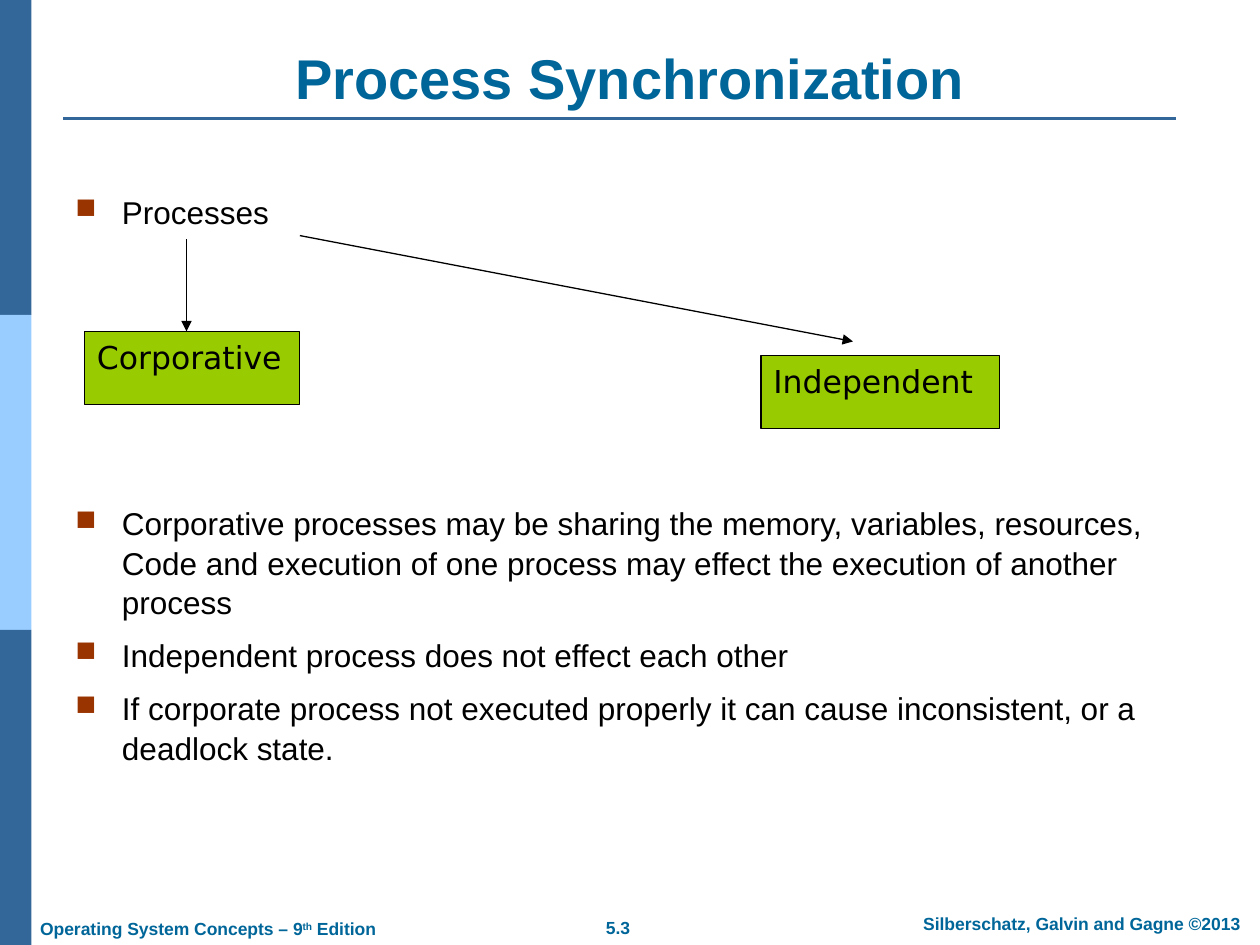
from lxml import etree
from pptx import Presentation
from pptx.dml.color import RGBColor
from pptx.enum import shapes, text
from pptx.oxml.ns import qn
from pptx.util import Inches, Pt

NAVY = RGBColor(0x33, 0x66, 0x99)
SKY = RGBColor(0x99, 0xCC, 0xFF)
TEAL = RGBColor(0x00, 0x66, 0x99)
GREEN = RGBColor(0x99, 0xCC, 0x00)
BLACK = RGBColor(0, 0, 0)
RUST = "993300"


def set_font(paragraph, size, color, name="Arial", bold=False):
    font = paragraph.font
    font.name, font.size, font.bold = name, Pt(size), bold
    font.color.rgb = color


def add_line(x1, y1, x2, y2, color, width, arrow=False):
    line = slide.shapes.add_connector(
        shapes.MSO_CONNECTOR.STRAIGHT,
        Inches(x1), Inches(y1), Inches(x2), Inches(y2))
    line.line.color.rgb = color
    line.line.width = Pt(width)
    if arrow:
        etree.SubElement(line.line._get_or_add_ln(), qn("a:tailEnd"), type="triangle")
    etree.SubElement(line._element.spPr, qn("a:effectLst"))


prs = Presentation()
prs.slide_width, prs.slide_height = Inches(10), Inches(7.5)
slide = prs.slides.add_slide(prs.slide_layouts[5])

# Side bands and title rule
for i, color in enumerate((NAVY, SKY, NAVY)):
    band = slide.shapes.add_shape(
        shapes.MSO_SHAPE.RECTANGLE, 0, Inches(2.5 * i), Inches(0.25), Inches(2.5))
    band.shadow.inherit = False
    band.fill.solid()
    band.fill.fore_color.rgb = color
    band.line.fill.background()
add_line(0.5, 0.94, 9.33, 0.94, NAVY, 1.5)

# Title
title = slide.shapes.title
title.left, title.top = Inches(0.5), Inches(0.3)
title.width, title.height = Inches(9), Inches(0.63)
title.text_frame.text = "Process Synchronization"
title.text_frame.vertical_anchor = text.MSO_ANCHOR.BOTTOM
title.text_frame.auto_size = text.MSO_AUTO_SIZE.NONE
heading = title.text_frame.paragraphs[0]
heading.alignment = text.PP_ALIGN.CENTER
set_font(heading, 32, TEAL, bold=True)

# Footer: runs are (text, superscript)
footers = [
    (4.41, 7.23, 0.99, False, text.PP_ALIGN.CENTER, [("5.3", False)]),
    (7.1, 7.2, 2.97, True, text.PP_ALIGN.CENTER,
     [("Silberschatz, Galvin and Gagne ©2013", False)]),
    (0.22, 7.24, 2.87, False, text.PP_ALIGN.LEFT,
     [("Operating System Concepts – 9", False), ("th", True), (" Edition", False)]),
]
for left, top, width, wrap, align, runs in footers:
    footer = slide.shapes.add_textbox(
        Inches(left), Inches(top), Inches(width), Inches(0.27))
    footer.text_frame.word_wrap = wrap
    paragraph = footer.text_frame.paragraphs[0]
    paragraph.alignment = align
    set_font(paragraph, 10, TEAL, bold=True)
    for words, superscript in runs:
        run = paragraph.add_run()
        run.text = words
        if superscript:
            run.font._element.set("baseline", "30000")

# Bullets: the second one leaves room above for the diagram
bullets = [
    ("Processes", 0),
    ("Corporative processes may be sharing the memory, variables, resources, "
     "Code and execution of one process may effect the execution of another process", 155.6),
    ("Independent process does not effect each other", 7.9),
    ("If corporate process not executed properly it can cause inconsistent, "
     "or a deadlock state.", 7.9),
]
body = slide.shapes.add_textbox(Inches(0.5), Inches(1.47), Inches(9), Inches(4.95))
body.text_frame.word_wrap = True
for i, (words, space) in enumerate(bullets):
    paragraph = body.text_frame.paragraphs[0] if i == 0 else body.text_frame.add_paragraph()
    paragraph.text = words
    paragraph.line_spacing = 1.04
    paragraph.space_before = Pt(space)
    props = paragraph._p.get_or_add_pPr()
    props.set("marL", str(Inches(0.37)))
    props.set("indent", str(-Inches(0.37)))
    bullet_color = etree.SubElement(props, qn("a:buClr"))
    etree.SubElement(bullet_color, qn("a:srgbClr"), val=RUST)
    etree.SubElement(props, qn("a:buSzPct"), val="90000")
    etree.SubElement(props, qn("a:buChar"), char="■")
    set_font(paragraph, 18, BLACK)

# Process kinds
add_line(1.48, 1.9, 1.48, 2.63, BLACK, 0.75, arrow=True)
add_line(2.38, 1.87, 6.77, 2.71, BLACK, 0.75, arrow=True)
for words, left, top, width in (("Corporative", 0.67, 2.63, 1.71),
                                ("Independent", 6.04, 2.82, 1.89)):
    kind = slide.shapes.add_shape(
        shapes.MSO_SHAPE.RECTANGLE, Inches(left), Inches(top), Inches(width), Inches(0.58))
    kind.shadow.inherit = False
    kind.fill.solid()
    kind.fill.fore_color.rgb = GREEN
    kind.line.color.rgb = BLACK
    kind.line.width = Pt(0.75)
    kind.text_frame.text = words
    kind.text_frame.word_wrap = False
    kind.text_frame.vertical_anchor = text.MSO_ANCHOR.TOP
    label = kind.text_frame.paragraphs[0]
    label.alignment = text.PP_ALIGN.LEFT
    set_font(label, 18, BLACK, "DejaVu Sans")

prs.save("out.pptx")
